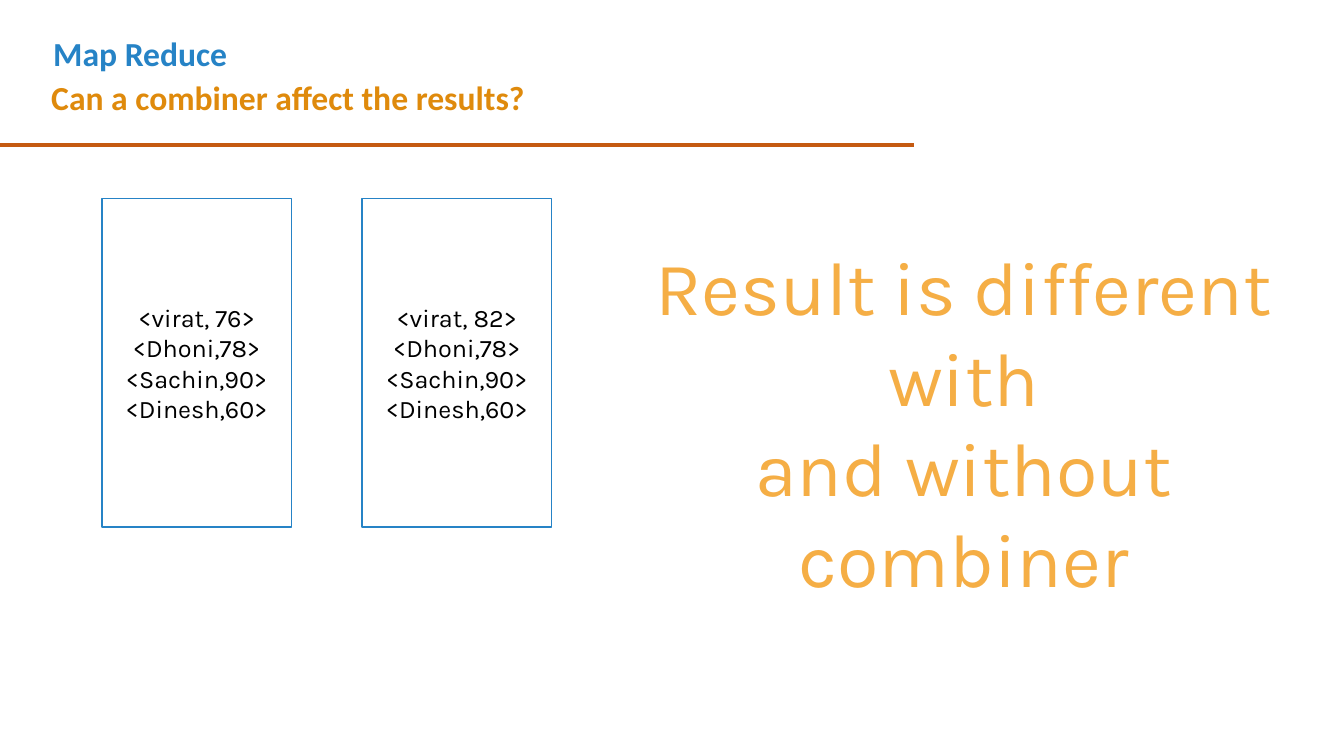
from lxml import etree
from pptx import Presentation
from pptx.dml.color import RGBColor
from pptx.enum.shapes import MSO_CONNECTOR, MSO_SHAPE
from pptx.enum.text import MSO_ANCHOR, PP_ALIGN
from pptx.oxml.ns import qn
from pptx.util import Inches, Pt


def color(hex_value):
    return RGBColor.from_string(hex_value)


def write_lines(shape, lines, font_name, size, hex_value, bold=False, alignment=PP_ALIGN.LEFT):
    text_frame = shape.text_frame
    text_frame.word_wrap = True
    text_frame.text = "\n".join(lines)
    for paragraph in text_frame.paragraphs:
        paragraph.alignment = alignment
        paragraph.font.name = font_name
        paragraph.font.size = Pt(size)
        paragraph.font.bold = bold
        paragraph.font.color.rgb = color(hex_value)


presentation = Presentation()
presentation.slide_width = Inches(13.33)
presentation.slide_height = Inches(7.5)
slide = presentation.slides.add_slide(presentation.slide_layouts[6])

# Headings
headings = [
    ("Map Reduce", 0.43, 0.28, 8.2, "2683C6"),
    ("Can a combiner affect the results?", 0.41, 0.71, 8.75, "DF8A0C"),
]
for text, left, top, width, hex_value in headings:
    heading = slide.shapes.add_textbox(Inches(left), Inches(top), Inches(width), Inches(0.5))
    write_lines(heading, [text], "Calibri", 24, hex_value, bold=True)

# Rule below the headings
rule = slide.shapes.add_connector(
    MSO_CONNECTOR.STRAIGHT, Inches(0), Inches(1.44), Inches(9.07), Inches(1.44))
rule.line.color.rgb = color("C55A11")
rule.line.width = Pt(3)
etree.SubElement(rule._element.spPr, qn("a:effectLst"))

# Mapper output boxes, differing only in the first score
for left, virat_score in [(1.01, 76), (3.59, 82)]:
    box = slide.shapes.add_shape(
        MSO_SHAPE.RECTANGLE, Inches(left), Inches(1.97), Inches(1.88), Inches(3.26))
    box.shadow.inherit = False
    box.fill.solid()
    box.fill.fore_color.rgb = color("FFFFFF")
    box.line.color.rgb = color("2683C6")
    box.line.width = Pt(1)
    box.text_frame.vertical_anchor = MSO_ANCHOR.MIDDLE
    pairs = [f"<virat, {virat_score}>", "<Dhoni,78>", "<Sachin,90>", "<Dinesh,60>"]
    write_lines(box, pairs, "Karla", 18, "000000", alignment=PP_ALIGN.CENTER)

# Conclusion
conclusion = slide.shapes.add_textbox(Inches(6.03), Inches(2.33), Inches(7.06), Inches(3.74))
write_lines(conclusion, ["Result is different with", "and without combiner"],
            "Karla", 54, "F5AE45", alignment=PP_ALIGN.CENTER)

presentation.save("out.pptx")
